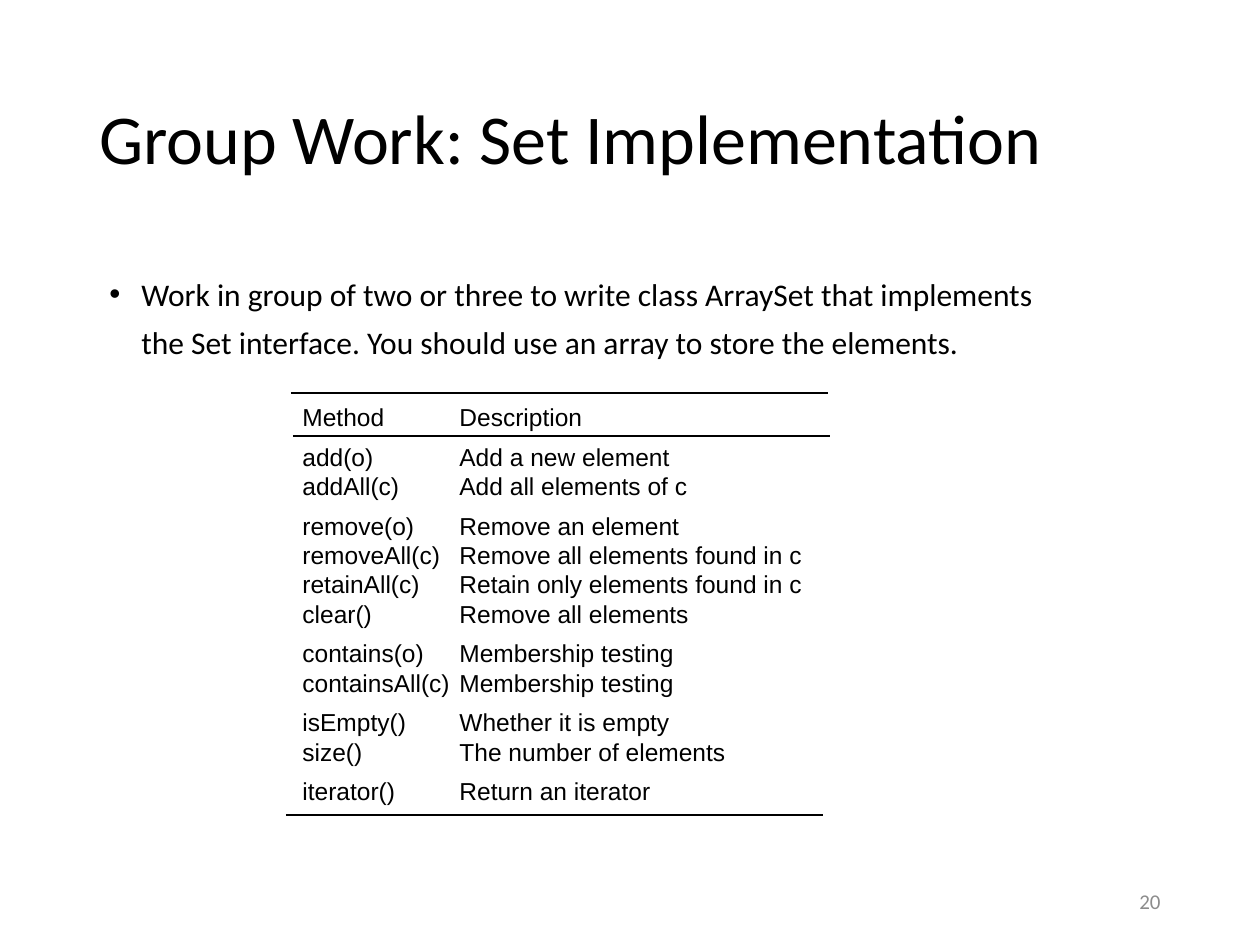
from lxml.etree import SubElement
from pptx import Presentation
from pptx.dml.color import RGBColor
from pptx.enum.shapes import MSO_CONNECTOR
from pptx.enum.text import MSO_ANCHOR, PP_ALIGN
from pptx.oxml.ns import qn
from pptx.util import Pt

PX = 914400 / 126
BLACK = RGBColor(0x00, 0x00, 0x00)
GRAY = RGBColor(0x8C, 0x8C, 0x8C)

METHOD_GROUPS = [
    [("Method", "Description")],
    [("add(o)", "Add a new element"),
     ("addAll(c)", "Add all elements of c")],
    [("remove(o)", "Remove an element"),
     ("removeAll(c)", "Remove all elements found in c"),
     ("retainAll(c)", "Retain only elements found in c"),
     ("clear()", "Remove all elements")],
    [("contains(o)", "Membership testing"),
     ("containsAll(c)", "Membership testing")],
    [("isEmpty()", "Whether it is empty"),
     ("size()", "The number of elements")],
    [("iterator()", "Return an iterator")],
]


def px(length):
    return round(length * PX)


def set_all(target, values):
    for name, value in values.items():
        setattr(target, name, value)


def add_frame(slide, box, anchor=MSO_ANCHOR.TOP):
    frame = slide.shapes.add_textbox(*map(px, box)).text_frame
    set_all(frame, {"word_wrap": True, "vertical_anchor": anchor})
    return frame


def add_line(frame, text, font, color=BLACK, **spacing):
    """Fill the empty first paragraph, or append a new one."""
    first = frame.paragraphs[0]
    paragraph = frame.add_paragraph() if first.runs else first
    set_all(paragraph, spacing)
    run = paragraph.add_run()
    run.text = text
    set_all(run.font, font)
    run.font.color.rgb = color
    return paragraph


def add_title(slide, box):
    frame = add_frame(slide, box, MSO_ANCHOR.MIDDLE)
    add_line(frame, "Group Work: Set Implementation",
             {"name": "Calibri", "size": Pt(40)}, line_spacing=0.9)


def add_task(slide, box):
    frame = add_frame(slide, box)
    lines = ["Work in group of two or three to write class ArraySet that implements",
             "the Set interface. You should use an array to store the elements."]
    hang = px(32)
    for number, text in enumerate(lines):
        paragraph = add_line(frame, text, {"name": "Calibri", "size": Pt(18)},
                             line_spacing=0.8, space_before=Pt(10))
        properties = paragraph._p.get_or_add_pPr()
        properties.set("marL", str(hang))
        properties.set("indent", str(0 if number else -hang))
        # Only the first line carries the bullet
        if number == 0:
            SubElement(properties, qn("a:buFont"), typeface="Arial")
            SubElement(properties, qn("a:buChar"), char="•")


def add_rule(slide, left, top, length):
    rule = slide.shapes.add_connector(
        MSO_CONNECTOR.STRAIGHT, *map(px, (left, top, left + length, top)))
    rule.line.color.rgb = BLACK
    rule.line.width = Pt(0.75)
    SubElement(rule._element.spPr, qn("a:effectLst"))


def add_methods(slide, box):
    left, top, _, height = box
    frame = add_frame(slide, box)
    for group_number, group in enumerate(METHOD_GROUPS):
        for row_number, row in enumerate(group):
            opens_group = group_number > 0 and row_number == 0
            paragraph = add_line(frame, "\t".join(row),
                                 {"name": "Arial", "size": Pt(14)},
                                 space_before=Pt(5.75 if opens_group else 0))
            # Descriptions line up on one tab stop
            stops = SubElement(paragraph._p.get_or_add_pPr(), qn("a:tabLst"))
            SubElement(stops, qn("a:tab"), pos=str(px(157)), algn="l")
    # Rules above and below the heading, and at the foot
    for shift, rule_top in ((1, top - 3), (3, top + 40), (-4, top + height + 2)):
        add_rule(slide, left + shift, rule_top, 537)


def add_page_number(slide, box):
    frame = add_frame(slide, box, MSO_ANCHOR.MIDDLE)
    add_line(frame, "20", {"name": "Calibri", "size": Pt(12)}, GRAY,
             alignment=PP_ALIGN.RIGHT)


deck = Presentation()
set_all(deck, {"slide_width": px(1260), "slide_height": px(945)})
set_slide = deck.slides.add_slide(deck.slide_layouts[6])
add_title(set_slide, (87, 50, 1086, 183))
add_task(set_slide, (97, 276, 1092, 92))
add_methods(set_slide, (290, 396, 673, 417))
add_page_number(set_slide, (890, 876, 283, 50))
deck.save("out.pptx")
